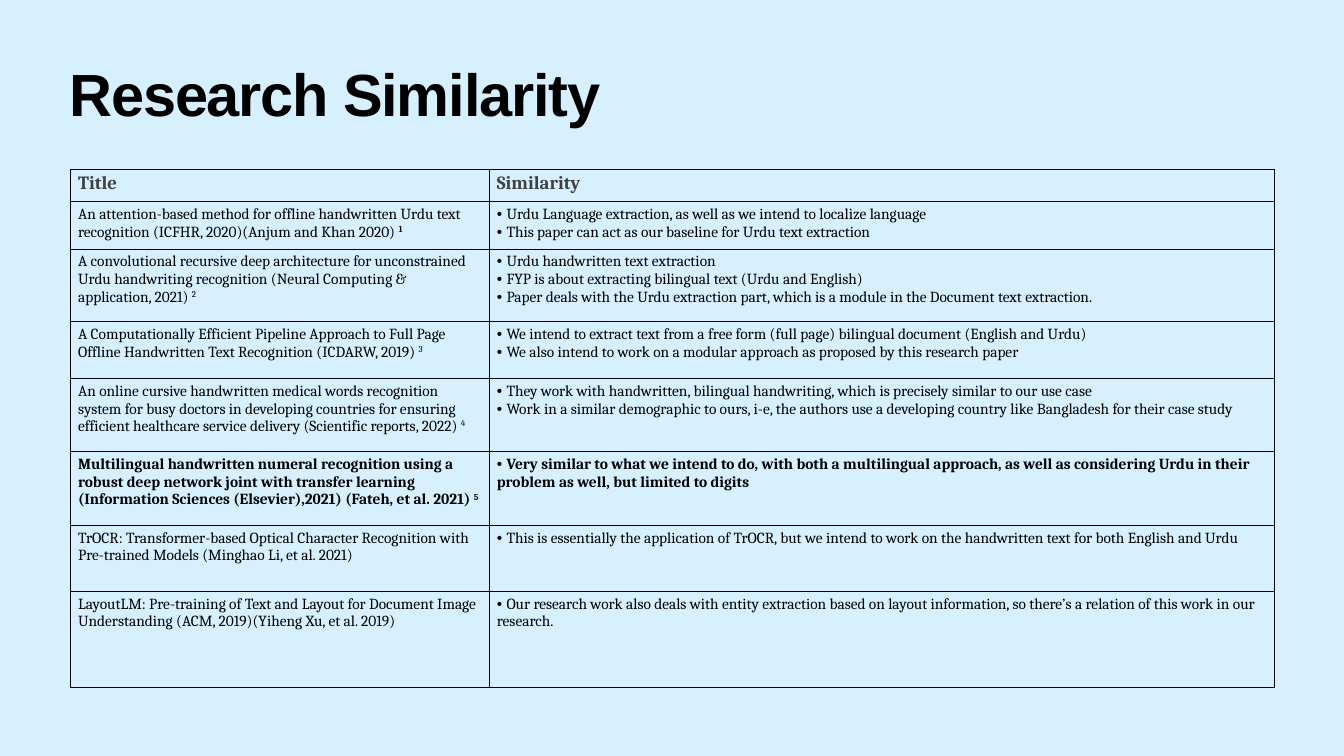
from dataclasses import dataclass

from lxml.etree import SubElement
from pptx import Presentation
from pptx.dml.color import RGBColor
from pptx.enum.text import MSO_ANCHOR
from pptx.oxml.ns import qn
from pptx.util import Inches, Pt


@dataclass(frozen=True)
class Theme:
    background: str = "D7F0FF"
    ink: str = "000000"
    header: str = "404040"
    title_font: str = "Arial"
    body_font: str = "Cambria"
    title_size: float = 85
    header_size: float = 26.7
    body_size: float = 22
    border_width: float = 1


@dataclass(frozen=True)
class Paper:
    title: str
    similarities: tuple[str, ...]
    height: float
    reference: str = ""
    bold: bool = False
    bold_reference: bool = False


THEME = Theme()
HEADINGS = ("Title", "Similarity")
HEADER_HEIGHT = 0.65
COLUMN_WIDTHS = (8.31, 15.58)
PAPERS = (
    Paper("An attention-based method for offline handwritten Urdu text recognition "
          "(ICFHR, 2020)(Anjum and Khan 2020) ",
          ("Urdu Language extraction, as well as we intend to localize language",
           "This paper can act as our baseline for Urdu text extraction"),
          0.94, "1", bold_reference=True),
    Paper("A convolutional recursive deep architecture for unconstrained Urdu handwriting "
          "recognition (Neural Computing & application, 2021) ",
          ("Urdu handwritten text extraction",
           "FYP is about extracting bilingual text (Urdu and English)",
           "Paper deals with the Urdu extraction part, which is a module in the "
           "Document text extraction."),
          1.44, "2"),
    Paper("A Computationally Efficient Pipeline Approach to Full Page Offline Handwritten "
          "Text Recognition (ICDARW, 2019) ",
          ("We intend to extract text from a free form (full page) bilingual document "
           "(English and Urdu)",
           "We also intend to work on a modular approach as proposed by this research paper"),
          1.13, "3"),
    Paper("An online cursive handwritten medical words recognition system for busy doctors in "
          "developing countries for ensuring efficient healthcare service delivery "
          "(Scientific reports, 2022) ",
          ("They work with handwritten, bilingual handwriting, which is precisely similar to "
           "our use case",
           "Work in a similar demographic to ours, i-e, the authors use a developing country "
           "like Bangladesh for their case study"),
          1.45, "4"),
    Paper("Multilingual handwritten numeral recognition using a robust deep network joint with "
          "transfer learning (Information Sciences (Elsevier),2021) (Fateh, et al. 2021) ",
          ("Very similar to what we intend to do, with both a multilingual approach, as well as "
           "considering Urdu in their problem as well, but limited to digits",),
          1.46, "5", bold=True, bold_reference=True),
    Paper("TrOCR: Transformer-based Optical Character Recognition with Pre-trained Models "
          "(Minghao Li, et al. 2021)",
          ("This is essentially the application of TrOCR, but we intend to work on the "
           "handwritten text for both English and Urdu",),
          1.31),
    Paper("LayoutLM: Pre-training of Text and Layout for Document Image Understanding "
          "(ACM, 2019)(Yiheng Xu, et al. 2019)",
          ("Our research work also deals with entity extraction based on layout information, "
           "so there’s a relation of this work in our research.",),
          1.91),
)


def add_span(para, text: str, size: float = THEME.body_size, font: str = THEME.body_font,
             color: str = THEME.ink, bold: bool = False):
    span = para.add_run()
    span.text = text
    span.font.size = Pt(size)
    span.font.name = font
    span.font.bold = bold
    span.font.color.rgb = RGBColor.from_string(color)
    return span


def style_cell(cell) -> None:
    """Clear the fill, set the margins and rule all four sides."""
    cell.margin_left, cell.margin_right = Inches(0.16), Inches(0.12)
    cell.margin_top = cell.margin_bottom = Inches(0.08)
    properties = cell._tc.get_or_add_tcPr()
    for side in ("a:lnL", "a:lnR", "a:lnT", "a:lnB"):
        line = SubElement(properties, qn(side), w=str(Pt(THEME.border_width)))
        fill = SubElement(line, qn("a:solidFill"))
        SubElement(fill, qn("a:srgbClr"), val=THEME.ink)
    cell.fill.background()


def add_title(page, text: str) -> None:
    box = page.shapes.add_textbox(Inches(1.32), Inches(1.18), Inches(24.03), Inches(1.57))
    frame = box.text_frame
    frame.word_wrap = True
    frame.vertical_anchor = MSO_ANCHOR.MIDDLE
    frame.margin_left = frame.margin_right = Inches(0.06)
    frame.margin_top = frame.margin_bottom = Inches(0.06)
    para = frame.paragraphs[0]
    para.line_spacing = 0.8
    span = add_span(para, text, THEME.title_size, THEME.title_font, bold=True)
    span.font._element.set("spc", "-170")


def fill_paper_row(title_cell, similarity_cell, paper: Paper) -> None:
    para = title_cell.text_frame.paragraphs[0]
    add_span(para, paper.title, bold=paper.bold)
    if paper.reference:
        span = add_span(para, paper.reference, bold=paper.bold_reference)
        span.font._element.set("baseline", "32000")
    frame = similarity_cell.text_frame
    for index, similarity in enumerate(paper.similarities):
        para = frame.add_paragraph() if index else frame.paragraphs[0]
        add_span(para, "• ", font=THEME.title_font)
        add_span(para, similarity, bold=paper.bold)


def add_paper_table(page) -> None:
    heights = (HEADER_HEIGHT, *(paper.height for paper in PAPERS))
    table = page.shapes.add_table(
        len(heights), len(COLUMN_WIDTHS), Inches(1.39), Inches(3.35),
        Inches(sum(COLUMN_WIDTHS)), Inches(sum(heights))).table
    table.first_row = table.horz_banding = False
    for column, width in zip(table.columns, COLUMN_WIDTHS):
        column.width = Inches(width)
    for row, height in zip(table.rows, heights):
        row.height = Inches(height)
    for cell in table.iter_cells():
        style_cell(cell)
    for column, heading in enumerate(HEADINGS):
        add_span(table.cell(0, column).text_frame.paragraphs[0], heading,
                 THEME.header_size, color=THEME.header, bold=True)
    for row, paper in enumerate(PAPERS, start=1):
        fill_paper_row(table.cell(row, 0), table.cell(row, 1), paper)


def main() -> None:
    deck = Presentation()
    deck.slide_width, deck.slide_height = Inches(26.67), Inches(15)
    page = deck.slides.add_slide(deck.slide_layouts[6])
    page.background.fill.solid()
    page.background.fill.fore_color.rgb = RGBColor.from_string(THEME.background)
    add_title(page, "Research Similarity")
    add_paper_table(page)
    deck.save("out.pptx")


if __name__ == "__main__":
    main()
